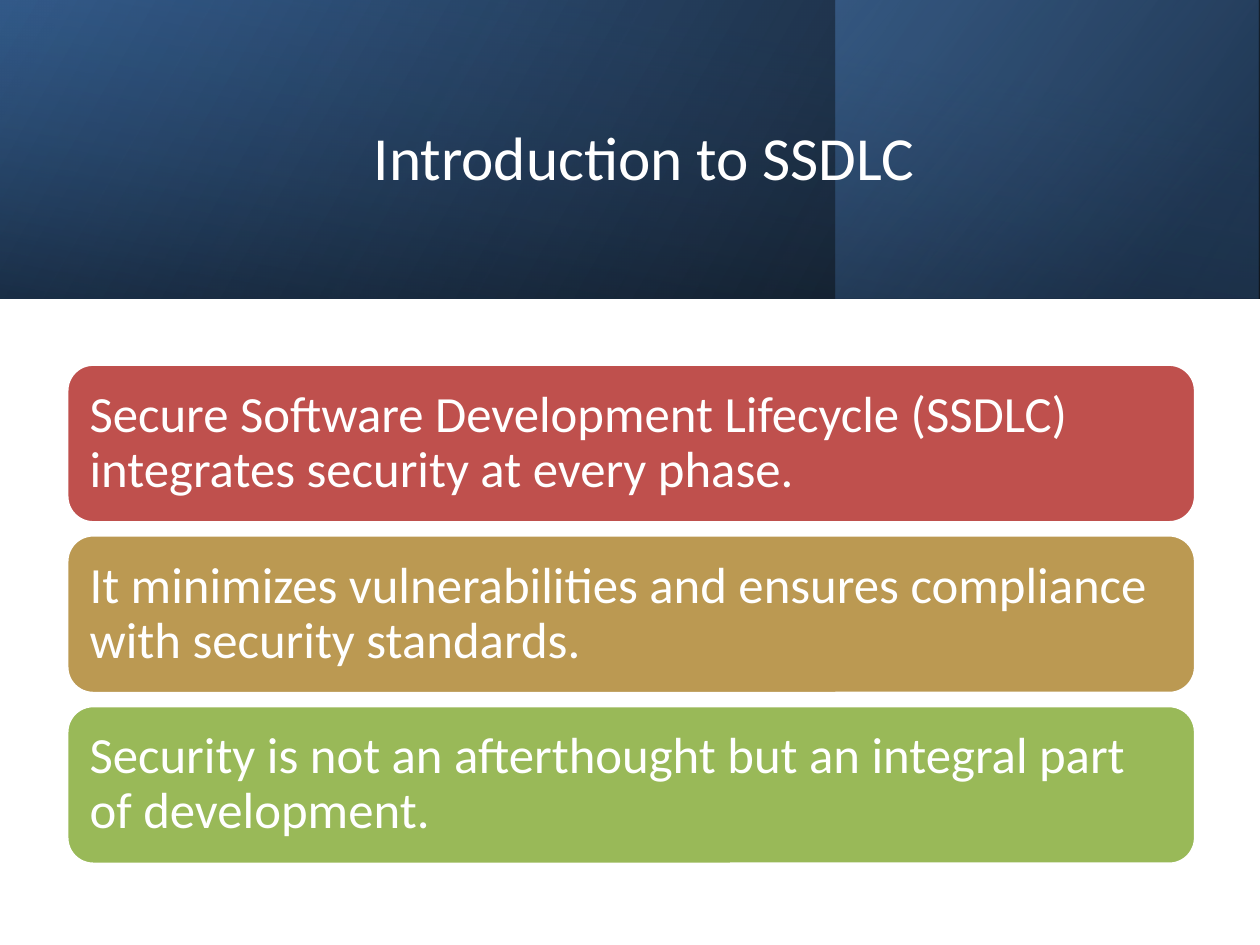
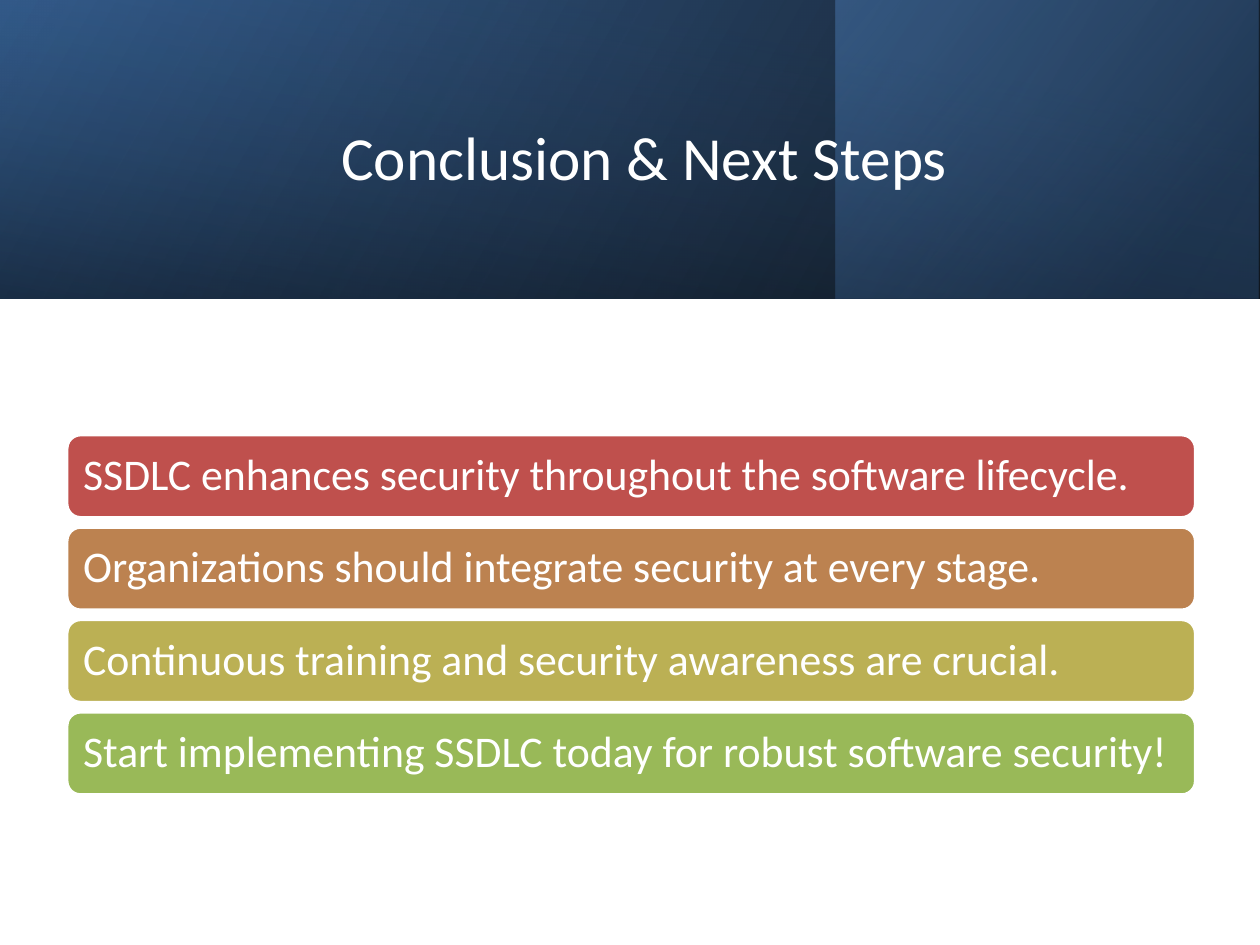
import pptx
import pptx.dml.color
import pptx.enum.shapes
import pptx.enum.text
import pptx.oxml.ns
import pptx.util
from lxml import etree

Inches = pptx.util.Inches
Pt = pptx.util.Pt
qn = pptx.oxml.ns.qn
SHAPES = pptx.enum.shapes.MSO_SHAPE
ALIGN = pptx.enum.text.PP_ALIGN
ANCHOR = pptx.enum.text.MSO_ANCHOR

FONT = "Calibri"
WHITE = "FFFFFF"
RED, GREEN = "BF504D", "99B958"
SLIDE_WIDTH, SLIDE_HEIGHT = 10, 7.5
BAND_HEIGHT = 2.37
BAR_LEFT, BAR_WIDTH = 0.53, 8.96

# Each layer: left, top, width, height, rotation, gradient angle,
# and gradient stops as (position %, colour, opacity %).
TURNED_LEFT = (SLIDE_WIDTH - BAND_HEIGHT) / 2
BAND_LAYERS = [
    (0, 0, SLIDE_WIDTH, BAND_HEIGHT, 0, 330,
     [(0, "000000", 96), (100, "366092", 100)]),
    (6.63, 0, 3.36, BAND_HEIGHT, 0, 320,
     [(0, "244061", 68), (19, "244061", 68), (100, "4F81BD", 48)]),
    (TURNED_LEFT, -TURNED_LEFT, BAND_HEIGHT, SLIDE_WIDTH, 270, 350,
     [(0, "366092", 16), (23, "366092", 16), (99, "000000", 45), (100, "000000", 45)]),
]


def rgb(colour):
    return pptx.dml.color.RGBColor.from_string(colour)


def style_text(text_frame, size, alignment, inset_x, inset_y):
    text_frame.word_wrap = True
    text_frame.vertical_anchor = ANCHOR.MIDDLE
    text_frame.margin_left = text_frame.margin_right = Inches(inset_x)
    text_frame.margin_top = text_frame.margin_bottom = Inches(inset_y)
    for paragraph in text_frame.paragraphs:
        paragraph.alignment = alignment
        for run in paragraph.runs:
            run.font.name = FONT
            run.font.size = Pt(size)
            run.font.color.rgb = rgb(WHITE)


def fill_gradient(shape, angle, stops):
    """Fill with a clockwise-angled gradient whose stops have an opacity."""
    shape.fill.gradient()
    shape.fill.gradient_angle = 360 - angle
    stop_list = shape._element.spPr.find(".//" + qn("a:gsLst"))
    for stop in list(stop_list):
        stop_list.remove(stop)
    for position, colour, opacity in stops:
        stop = etree.SubElement(stop_list, qn("a:gs"), pos=str(position * 1000))
        value = etree.SubElement(stop, qn("a:srgbClr"), val=colour)
        etree.SubElement(value, qn("a:alpha"), val=str(opacity * 1000))


def add_band(slide):
    for left, top, width, height, rotation, angle, stops in BAND_LAYERS:
        layer = slide.shapes.add_shape(
            SHAPES.RECTANGLE, Inches(left), Inches(top), Inches(width), Inches(height))
        layer.shadow.inherit = False
        layer.line.fill.background()
        layer.rotation = rotation
        layer._element.spPr.find(qn("a:xfrm")).set("flipH", "1")
        fill_gradient(layer, angle, stops)


def set_title(slide, text):
    """Write the title and bring it in front of the band."""
    title = slide.shapes.title
    title.left, title.top = Inches(1.13), Inches(0.38)
    title.width, title.height = Inches(7.97), Inches(1.72)
    title.text_frame.text = text
    style_text(title.text_frame, 35, ALIGN.CENTER, 0.1, 0.05)
    slide.shapes._spTree.append(title._element)


def add_bar(slide, top, height, text, colour, size, inset):
    bar = slide.shapes.add_shape(
        SHAPES.ROUNDED_RECTANGLE, Inches(BAR_LEFT), Inches(top),
        Inches(BAR_WIDTH), Inches(height))
    bar.adjustments[0] = 0.167
    bar.shadow.inherit = False
    bar.fill.solid()
    bar.fill.fore_color.rgb = rgb(colour)
    bar.line.color.rgb = rgb(WHITE)
    bar.line.width = Pt(2)
    bar.text_frame.text = text
    style_text(bar.text_frame, size, ALIGN.LEFT, inset, inset)
    bar.text_frame.paragraphs[0].line_spacing = 0.9


def add_bars(slide, messages, first_top, last_top, height, size, inset):
    """Spread the bars evenly from first_top to last_top."""
    step = (last_top - first_top) / (len(messages) - 1)
    for index, (text, colour) in enumerate(messages):
        add_bar(slide, first_top + index * step, height, text, colour, size, inset)


def add_message_slide(presentation, title, messages, **bar_layout):
    slide = presentation.slides.add_slide(presentation.slide_layouts.get_by_name("Title Only"))
    add_band(slide)
    set_title(slide, title)
    add_bars(slide, messages, **bar_layout)


def main():
    presentation = pptx.Presentation()
    presentation.slide_width = Inches(SLIDE_WIDTH)
    presentation.slide_height = Inches(SLIDE_HEIGHT)
    add_message_slide(presentation, "Introduction to SSDLC", [
        ("Secure Software Development Lifecycle (SSDLC) integrates security at every phase.", RED),
        ("It minimizes vulnerabilities and ensures compliance with security standards.", "BB9952"),
        ("Security is not an afterthought but an integral part of development.", GREEN),
    ], first_top=2.89, last_top=5.6, height=1.26, size=29, inset=0.12)
    add_message_slide(presentation, "Conclusion & Next Steps", [
        ("SSDLC enhances security throughout the software lifecycle.", RED),
        ("Organizations should integrate security at every stage.", "BC8250"),
        ("Continuous training and security awareness are crucial.", "BBB054"),
        ("Start implementing SSDLC today for robust software security!", GREEN),
    ], first_top=3.45, last_top=5.65, height=0.66, size=25, inset=0.1)
    presentation.save("out.pptx")


if __name__ == "__main__":
    main()
